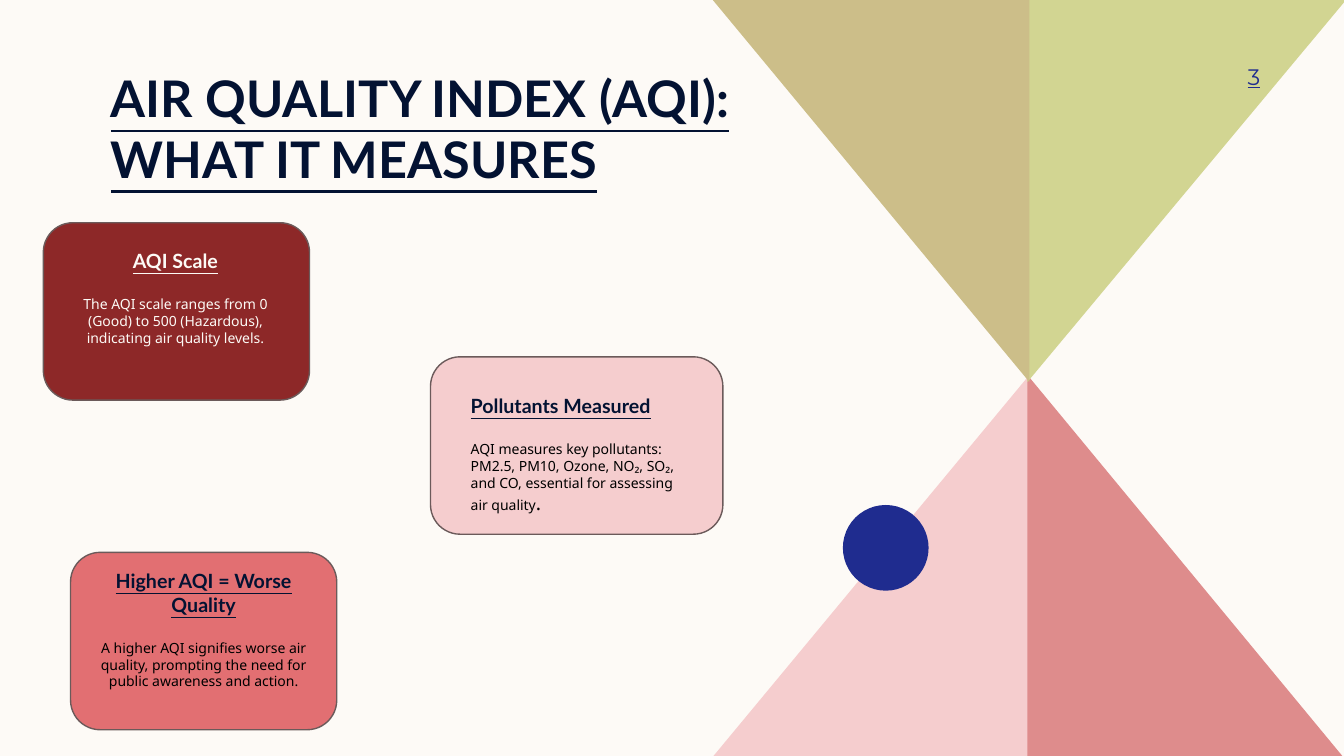
"""Build the slide explaining what the Air Quality Index measures."""
from dataclasses import dataclass
from typing import Optional

from pptx import Presentation
from pptx.dml.color import RGBColor
from pptx.enum.shapes import MSO_SHAPE as Shape
from pptx.enum.text import MSO_ANCHOR as Anchor, PP_ALIGN as Align
from pptx.util import Inches, Pt

CREAM = RGBColor(0xFD, 0xFA, 0xF6)
NAVY = RGBColor(0x03, 0x12, 0x32)
BLUE = RGBColor(0x1F, 0x2C, 0x8F)
BLACK = RGBColor(0x00, 0x00, 0x00)
OUTLINE = RGBColor(0x6B, 0x5A, 0x5A)
MAROON = RGBColor(0x8D, 0x28, 0x28)
CORAL = RGBColor(0xE2, 0x6F, 0x72)
PINK = RGBColor(0xF5, 0xCD, 0xCE)
ROSE = RGBColor(0xDE, 0x8C, 0x8C)
LIME = RGBColor(0xD2, 0xD5, 0x92)
KHAKI = RGBColor(0xCC, 0xBE, 0x89)

Box = tuple[float, float, float, float]


@dataclass(frozen=True)
class Triangle:
    center_x: float
    apex_y: float
    outer_x: float
    base_y: float
    color: RGBColor


@dataclass(frozen=True)
class Card:
    box: Box
    fill: RGBColor
    heading: str
    body: str
    heading_color: RGBColor = NAVY
    body_color: RGBColor = BLACK
    align: Align = Align.CENTER
    text_box: Optional[Box] = None
    full_stop: str = ""


TRIANGLES = [
    Triangle(10.21, 3.72, 7.06, 7.52, PINK),
    Triangle(10.19, 3.72, 13.33, 7.52, ROSE),
    Triangle(10.19, 3.79, 13.35, 0, LIME),
    Triangle(10.21, 3.79, 7.07, 0, KHAKI),
]

CARDS = [
    Card((0.43, 2.21, 2.64, 1.76), MAROON, "AQI Scale",
         "The AQI scale ranges from 0 (Good) to 500 (Hazardous), indicating air quality levels.",
         heading_color=CREAM, body_color=CREAM, text_box=(0.7, 2.42, 2.08, 1.48)),
    Card((4.27, 3.54, 2.9, 1.76), PINK, "Pollutants Measured",
         "AQI measures key pollutants: PM2.5, PM10, Ozone, NO₂, SO₂, and CO, "
         "essential for assessing air quality",
         align=Align.LEFT, text_box=(4.57, 3.86, 2.31, 1.55), full_stop="."),
    Card((0.7, 5.48, 2.64, 1.76), CORAL, "Higher AQI = Worse Quality",
         "A higher AQI signifies worse air quality, prompting the need for "
         "public awareness and action."),
]


def add_run(paragraph, text: str, *, font: str, size: float, color: RGBColor,
            bold: bool = False, underline: bool = False) -> None:
    run = paragraph.add_run()
    run.text = text
    run.font.name = font
    run.font.size = Pt(size)
    run.font.color.rgb = color
    run.font.bold = bold
    run.font.underline = underline


def set_frame(frame, anchor: Anchor, left: float = 0.1, top: float = 0.05,
              right: float = 0.1, bottom: float = 0.05) -> None:
    frame.word_wrap = True
    frame.vertical_anchor = anchor
    frame.margin_left, frame.margin_top = Inches(left), Inches(top)
    frame.margin_right, frame.margin_bottom = Inches(right), Inches(bottom)


def paint(shape, fill: RGBColor, line: Optional[RGBColor] = None) -> None:
    shape.shadow.inherit = False
    shape.fill.solid()
    shape.fill.fore_color.rgb = fill
    if line is None:
        shape.line.fill.background()
    else:
        shape.line.color.rgb = line
        shape.line.width = Pt(1)


def add_triangle(slide, triangle: Triangle) -> None:
    center, base = Inches(triangle.center_x), Inches(triangle.base_y)
    builder = slide.shapes.build_freeform(center, Inches(triangle.apex_y))
    builder.add_line_segments([(Inches(triangle.outer_x), base), (center, base)])
    paint(builder.convert_to_shape(), triangle.color)


def add_title(slide, text: str) -> None:
    title = slide.shapes.title
    title.left, title.top = Inches(1), Inches(0.17)
    title.width, title.height = Inches(7.2), Inches(1.7)
    set_frame(title.text_frame, Anchor.BOTTOM, top=0, bottom=0)
    paragraph = title.text_frame.paragraphs[0]
    paragraph.alignment = Align.LEFT
    add_run(paragraph, text, font="Lato", size=36, color=NAVY, bold=True, underline=True)


def add_page_number(slide, number: str) -> None:
    box = slide.shapes.add_textbox(*map(Inches, (11.33, 0.5, 1.17, 0.52)))
    set_frame(box.text_frame, Anchor.MIDDLE, right=0)
    paragraph = box.text_frame.paragraphs[0]
    paragraph.alignment = Align.RIGHT
    add_run(paragraph, number, font="Montserrat", size=16, color=BLUE, underline=True)


def add_card(slide, card: Card) -> None:
    shape = slide.shapes.add_shape(Shape.FLOWCHART_ALTERNATE_PROCESS, *map(Inches, card.box))
    paint(shape, card.fill, OUTLINE)
    if card.text_box:
        frame = slide.shapes.add_textbox(*map(Inches, card.text_box)).text_frame
        set_frame(frame, Anchor.TOP)
    else:
        frame = shape.text_frame
        set_frame(frame, Anchor.MIDDLE, bottom=0.28)
    heading, body = frame.paragraphs[0], frame.add_paragraph()
    heading.alignment = body.alignment = card.align
    heading.space_after = Pt(16.5)
    add_run(heading, card.heading, font="Lato", size=14, color=card.heading_color,
            bold=True, underline=True)
    add_run(body, card.body, font="Noto Sans", size=10, color=card.body_color)
    if card.full_stop:
        add_run(body, card.full_stop, font="Noto Sans", size=14, color=card.body_color)


def main() -> None:
    presentation = Presentation()
    presentation.slide_width, presentation.slide_height = Inches(13.33), Inches(7.5)
    slide = presentation.slides.add_slide(presentation.slide_layouts[5])
    slide.background.fill.solid()
    slide.background.fill.fore_color.rgb = CREAM
    for triangle in TRIANGLES:
        add_triangle(slide, triangle)
    circle = slide.shapes.add_shape(Shape.OVAL, *map(Inches, (8.36, 5.01, 0.85, 0.85)))
    paint(circle, BLUE)
    add_title(slide, "AIR QUALITY INDEX (AQI): WHAT IT MEASURES")
    add_page_number(slide, "3")
    for card in CARDS:
        add_card(slide, card)
    presentation.save("out.pptx")


if __name__ == "__main__":
    main()
